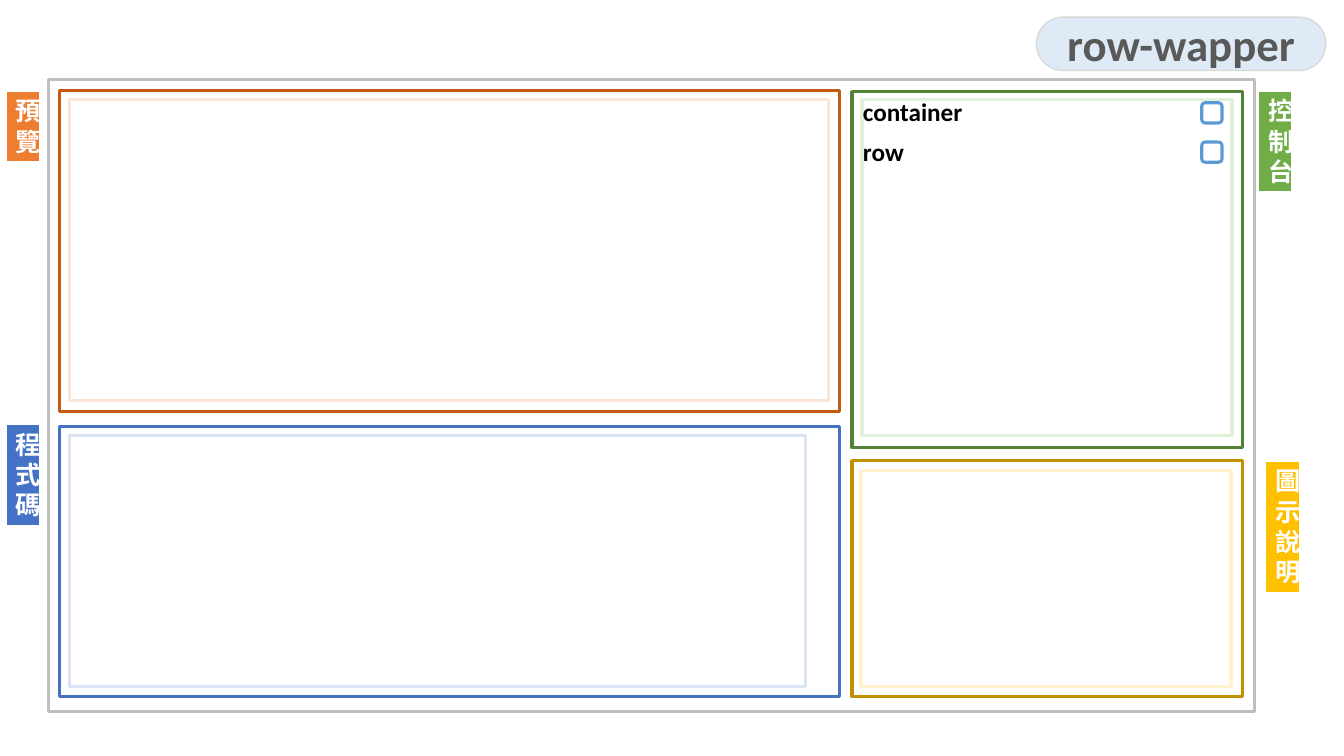
from typing import NamedTuple

from lxml import etree
from pptx import Presentation
from pptx.dml.color import RGBColor
from pptx.enum.shapes import MSO_SHAPE
from pptx.enum.text import MSO_ANCHOR, MSO_AUTO_SIZE, PP_ALIGN
from pptx.oxml.ns import qn
from pptx.util import Inches, Pt

RECT = MSO_SHAPE.RECTANGLE
ROUND = MSO_SHAPE.ROUNDED_RECTANGLE
MIDDLE, TOP = MSO_ANCHOR.MIDDLE, MSO_ANCHOR.TOP
GROW = MSO_AUTO_SIZE.SHAPE_TO_FIT_TEXT
LEFT, CENTER = PP_ALIGN.LEFT, PP_ALIGN.CENTER

LATIN, HAN = "Calibri", "Noto Sans CJK SC"
COLORS = {
    "white": "FFFFFF", "black": "000000", "text": "595959",
    "gray": "BFBFBF", "edge": "D9D9D9", "sky": "5B9BD5", "mist": "DEEBF7",
    "orange": "ED7D31", "rust": "C55A11", "peach": "FBE5D6",
    "blue": "4472C4", "ice": "DAE3F3",
    "green": "70AD47", "moss": "548235", "mint": "E2F0D9",
    "gold": "FFC000", "ochre": "BF9000", "cream": "FFF2CC",
}


class Box(NamedTuple):
    left: float
    top: float
    width: float
    height: float


class Frame(NamedTuple):
    box: Box
    line: str


class Tab(NamedTuple):
    label: str
    box: Box
    fill: str


class Option(NamedTuple):
    label: str
    width: float


FRAMES = [
    Frame(Box(0.48, 0.79, 11.96, 6.27), "gray"),
    Frame(Box(8.45, 0.91, 3.87, 3.53), "moss"),
    Frame(Box(0.59, 0.9, 7.74, 3.18), "rust"),
    Frame(Box(0.59, 4.23, 7.74, 2.68), "blue"),
    Frame(Box(0.69, 0.99, 7.53, 2.98), "peach"),
    Frame(Box(0.69, 4.32, 7.3, 2.49), "ice"),
    Frame(Box(8.55, 0.99, 3.67, 3.33), "mint"),
    Frame(Box(8.45, 4.57, 3.87, 2.34), "ochre"),
    Frame(Box(8.54, 4.67, 3.67, 2.14), "cream"),
]
TABS = [
    Tab("控制台", Box(12.48, 0.9, 0.34, 1.01), "green"),
    Tab("預覽", Box(0.06, 0.9, 0.34, 0.71), "orange"),
    Tab("程式碼", Box(0.06, 4.21, 0.34, 1.01), "blue"),
    Tab("圖示說明", Box(12.55, 4.57, 0.34, 1.31), "gold"),
]
OPTIONS = [Option("container", 1.2), Option("row", 0.61)]
OPTION_TOP, OPTION_STEP = 0.91, 0.39


def color(name: str) -> RGBColor:
    return RGBColor.from_string(COLORS[name])


def inches(box: Box) -> list:
    return [Inches(side) for side in box]


def add_box(shapes, box: Box, line: str, weight: float = 2.25,
            fill: str = "", kind=RECT):
    shape = shapes.add_shape(kind, *inches(box))
    shape.shadow.inherit = False
    if fill:
        shape.fill.solid()
        shape.fill.fore_color.rgb = color(fill)
    else:
        shape.fill.background()
    shape.line.color.rgb = color(line)
    shape.line.width = Pt(weight)
    return shape


def write(shape, text: str, size: int, tint: str, face: str, align,
          anchor=TOP) -> None:
    frame = shape.text_frame
    frame.vertical_anchor = anchor
    para = frame.paragraphs[0]
    para.text = text
    para.alignment = align
    font = para.font
    font.name, font.size, font.bold = face, Pt(size), True
    font.color.rgb = color(tint)
    # East Asian typeface
    props = para._p.pPr.find(qn("a:defRPr"))
    etree.SubElement(props, qn("a:ea")).set("typeface", face)


def add_tab(shapes, tab: Tab) -> None:
    shape = add_box(shapes, tab.box, "white", 1.5, tab.fill)
    write(shape, tab.label, 18, "white", HAN, CENTER)
    shape.text_frame.word_wrap = True
    shape.text_frame.auto_size = GROW


def add_option(shapes, option: Option, top: float) -> None:
    group = shapes.add_group_shape().shapes
    label = group.add_textbox(*inches(Box(8.46, top, option.width, 0.4)))
    write(label, option.label, 18, "black", LATIN, LEFT)
    label.text_frame.word_wrap = False
    label.text_frame.auto_size = GROW
    add_box(group, Box(11.92, top + 0.11, 0.2, 0.2), "sky",
            fill="white", kind=ROUND)


def main() -> None:
    deck = Presentation()
    deck.slide_width, deck.slide_height = Inches(13.33), Inches(7.5)
    shapes = deck.slides.add_slide(deck.slide_layouts[6]).shapes

    # Panels
    for frame in FRAMES:
        add_box(shapes, frame.box, frame.line)

    # Title
    title = add_box(shapes, Box(10.28, 0.17, 2.87, 0.53), "edge", 1,
                    "mist", ROUND)
    title.adjustments[0] = 0.5
    write(title, "row-wapper", 32, "text", LATIN, CENTER, MIDDLE)

    # Control options
    for row, option in enumerate(OPTIONS):
        add_option(shapes, option, OPTION_TOP + row * OPTION_STEP)

    # Side tabs
    for tab in TABS:
        add_tab(shapes, tab)

    deck.save("out.pptx")


if __name__ == "__main__":
    main()
